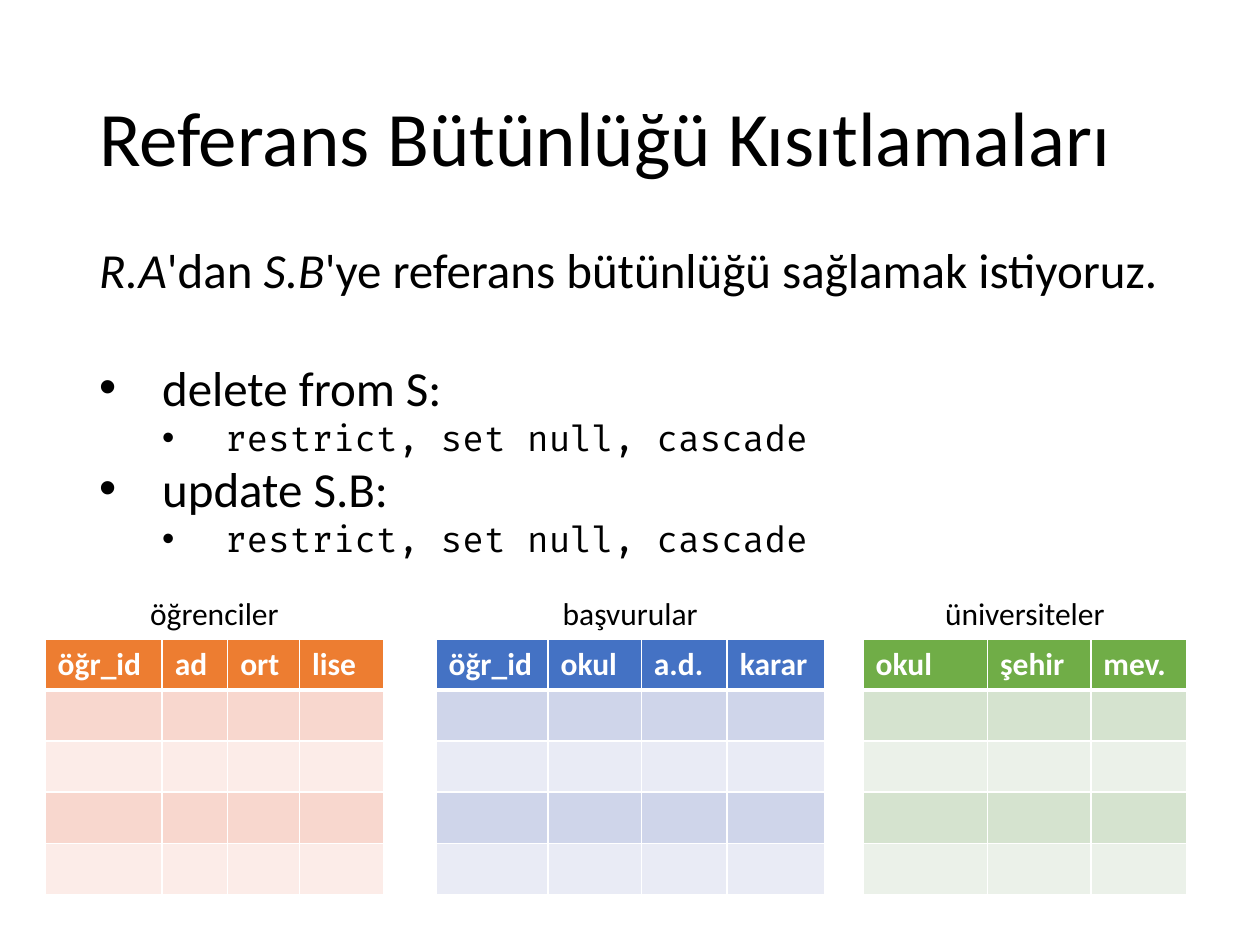
import pptx
import pptx.dml.color
import pptx.enum.text
import pptx.oxml
import pptx.oxml.ns
import pptx.util

Cm, Pt = pptx.util.Cm, pptx.util.Pt
ALIGN = pptx.enum.text.PP_ALIGN
ANCHOR = pptx.enum.text.MSO_ANCHOR

HUES = {
    "ink": "000000", "white": "FFFFFF",
    "orange": "ED7D31", "orange dark": "F8D7CE", "orange light": "FCECE8",
    "blue": "4472C4", "blue dark": "CFD5EA", "blue light": "E9EBF5",
    "green": "70AD47", "green dark": "D5E3CF", "green light": "EBF1E9",
}
SANS, CODE = "Calibri", "Fira Code"
ROWS, ROW_H = 5, 1.03
TABLE_TOP, CAP_H = 12.88, 1.02


def hue(name):
    return pptx.dml.color.RGBColor.from_string(HUES[name])


def write(para, text, size=18, font=SANS, color="ink", bold=False, slant=False):
    run = para.add_run()
    run.text = text
    face = run.font
    face.size, face.name = Pt(size), font
    face.bold, face.italic = bold, slant
    face.color.rgb = hue(color)


def bullet(para, level):
    """Give the paragraph a dot and a hanging indent one step per level."""
    step = Cm(1.27)
    para.level = level
    props = para._p.get_or_add_pPr()
    props.set("marL", str(step * (level + 1)))
    props.set("indent", str(-step))
    space = pptx.oxml.ns.nsdecls("a")
    props.append(pptx.oxml.parse_xml(f'<a:buFont {space} typeface="Arial"/>'))
    props.append(pptx.oxml.parse_xml(f'<a:buChar {space} char="•"/>'))


def border(cell, **widths):
    """Draw white edges; the keys are the sides L, R, T and B, in that order."""
    props = cell._tc.get_or_add_tcPr()
    for side, width in widths.items():
        props.append(pptx.oxml.parse_xml(
            f'<a:ln{side} {pptx.oxml.ns.nsdecls("a")} w="{Pt(width)}">'
            f'<a:solidFill><a:srgbClr val="{HUES["white"]}"/></a:solidFill>'
            f'</a:ln{side}>'))


class Page:
    def __init__(self, deck):
        self.slide = deck.slides.add_slide(deck.slide_layouts[6])

    def box(self, left, top, width, height, anchor=ANCHOR.TOP):
        shape = self.slide.shapes.add_textbox(
            Cm(left), Cm(top), Cm(width), Cm(height))
        frame = shape.text_frame
        frame.word_wrap = True
        frame.vertical_anchor = anchor
        return frame

    def title(self, text):
        para = self.box(1.75, 1.02, 21.9, 3.68, ANCHOR.MIDDLE).paragraphs[0]
        para.line_spacing = 0.9
        write(para, text, size=44)

    def body(self, intro, points):
        frame = self.box(1.75, 4.7, 22.17, 7.95)
        para = frame.paragraphs[0]
        para.space_after = Pt(34)
        for text, slant in intro:
            write(para, text, size=28, slant=slant)
        for head, detail in points:
            para = frame.add_paragraph()
            bullet(para, 0)
            write(para, head, size=28)
            para = frame.add_paragraph()
            bullet(para, 1)
            write(para, detail, size=20, font=CODE)

    def table(self, name, left, color, cols):
        """Place a banded table with its name centred above it."""
        width = sum(cols.values())
        para = self.box(left, TABLE_TOP - CAP_H, width, CAP_H).paragraphs[0]
        para.alignment = ALIGN.CENTER
        write(para, name)

        grid = self.slide.shapes.add_table(
            ROWS, len(cols), Cm(left), Cm(TABLE_TOP),
            Cm(width), Cm(ROWS * ROW_H)).table
        for row in grid.rows:
            row.height = Cm(ROW_H)
        for c, (label, size) in enumerate(cols.items()):
            grid.columns[c].width = Cm(size)
            write(grid.cell(0, c).text_frame.paragraphs[0], label,
                  color="white", bold=True)
            for r in range(ROWS):
                cell = grid.cell(r, c)
                border(cell, L=1, R=1, T=3 if r == 1 else 1, B=3 if r == 0 else 1)
                band = " dark" if r % 2 else " light"
                cell.fill.solid()
                cell.fill.fore_color.rgb = hue(color + band if r else color)


def main():
    deck = pptx.Presentation()
    deck.slide_width, deck.slide_height = Cm(25.4), Cm(19.05)
    page = Page(deck)
    page.title("Referans Bütünlüğü Kısıtlamaları")
    acts = "restrict, set null, cascade"
    page.body(
        [("R.A", True), ("'dan ", False), ("S.B", True),
         ("'ye referans bütünlüğü sağlamak istiyoruz.", False)],
        [("delete from S:", acts), ("update S.B:", acts)])
    page.table("öğrenciler", 0.91, "orange",
               {"öğr_id": 2.36, "ad": 1.32, "ort": 1.45, "lise": 1.7})
    page.table("başvurular", 8.79, "blue",
               {"öğr_id": 2.26, "okul": 1.88, "a.d.": 1.73, "karar": 1.96})
    page.table("üniversiteler", 17.4, "green",
               {"okul": 2.51, "şehir": 2.08, "mev.": 1.93})
    deck.save("out.pptx")


if __name__ == "__main__":
    main()
